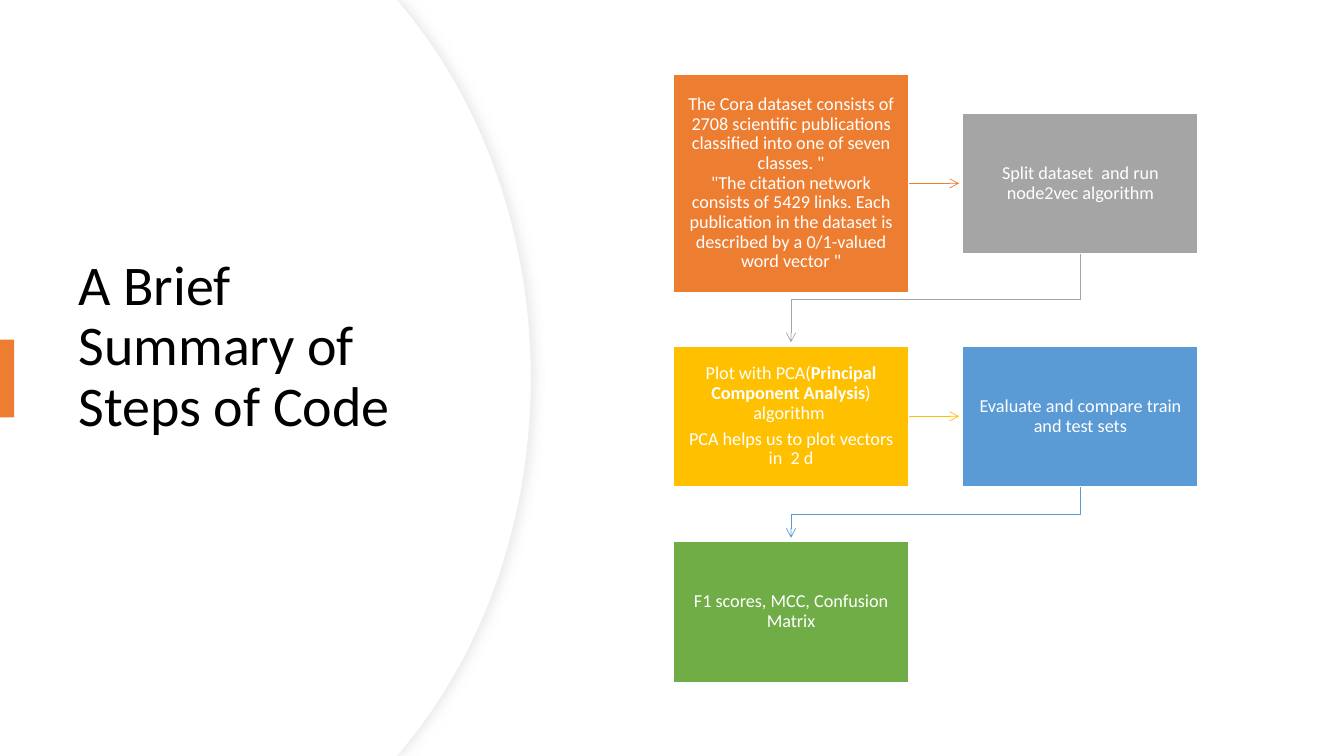
from lxml import etree
from pptx import Presentation
from pptx.dml.color import RGBColor
from pptx.enum.shapes import MSO_CONNECTOR, MSO_SHAPE
from pptx.enum.text import MSO_ANCHOR, MSO_AUTO_SIZE, PP_ALIGN
from pptx.oxml.ns import qn
from pptx.util import Cm, Pt

RECT = MSO_SHAPE.RECTANGLE
STRAIGHT = MSO_CONNECTOR.STRAIGHT
MIDDLE = MSO_ANCHOR.MIDDLE
NO_FIT = MSO_AUTO_SIZE.NONE
LEFT, CENTER = PP_ALIGN.LEFT, PP_ALIGN.CENTER

COLORS = {
    "white": "FFFFFF", "black": "000000", "edge": "EFEFEF", "shade": "D9D9D9",
    "orange": "ED7D31", "gray": "A5A5A5", "gold": "FFC000",
    "blue": "5B9BD5", "green": "70AD47",
}
WIDTH, HEIGHT = 33.87, 19.05
BOX_W, BOX_H = 5.93, 3.55
COLUMNS = (16.97, 24.26)
ROWS = (4.62, 10.49, 15.42)
ARROW_GAP = 0.09

STEPS = [
    (0, 0, 5.49, "orange", [[(
        'The Cora dataset consists of 2708 scientific publications classified '
        'into one of seven classes. "\n"The citation network consists of 5429 links. '
        'Each publication in the dataset is described by a 0/1-valued word vector "',
        False)]]),
    (1, 0, BOX_H, "gray", [[("Split dataset  and run node2vec algorithm", False)]]),
    (0, 1, BOX_H, "gold", [
        [("Plot with PCA(", False), ("Principal Component Analysis", True),
         (") algorithm ", False)],
        [("PCA helps us to plot vectors in  2 d", False)]]),
    (1, 1, BOX_H, "blue", [[("Evaluate and compare train and test sets", False)]]),
    (0, 2, BOX_H, "green", [[("F1 scores, MCC, Confusion Matrix", False)]]),
]


def rgb(name):
    return RGBColor.from_string(COLORS[name])


def write(tf, paragraphs, size, color, align=CENTER, after=0, margins=(0.28, 0.3, 0.28, 0.3)):
    tf.word_wrap = True
    tf.auto_size = NO_FIT
    tf.vertical_anchor = MIDDLE
    tf.margin_left, tf.margin_top, tf.margin_right, tf.margin_bottom = map(Cm, margins)
    for i, runs in enumerate(paragraphs):
        p = tf.add_paragraph() if i else tf.paragraphs[0]
        p.alignment = align
        p.line_spacing = 0.9
        p.space_before = Pt(0)
        p.space_after = Pt(after)
        for text, bold in runs:
            for j, line in enumerate(text.split("\n")):
                if j:
                    p.add_line_break()
                r = p.add_run()
                r.text = line
                r.font.name = "Calibri"
                r.font.size = Pt(size)
                r.font.bold = bold
                r.font.color.rgb = rgb(color)


def bezier(a, b, c, d, steps=24):
    for i in range(steps + 1):
        t = i / steps
        u = 1 - t
        yield tuple(u**3 * w + 3 * u * u * t * x + 3 * u * t * t * y + t**3 * z
                    for w, x, y, z in zip(a, b, c, d))


class Deck:
    def __init__(self):
        self.prs = Presentation()
        self.prs.slide_width, self.prs.slide_height = Cm(WIDTH), Cm(HEIGHT)
        self.s = self.prs.slides.add_slide(self.prs.slide_layouts[5])

    def style(self, sp, fill=None, line=None, weight=0.5):
        sp.shadow.inherit = False
        if fill:
            sp.fill.solid()
            sp.fill.fore_color.rgb = rgb(fill)
        else:
            sp.fill.background()
        if line:
            sp.line.color.rgb = rgb(line)
            sp.line.width = Pt(weight)
        else:
            sp.line.fill.background()

    def outline(self, points, close):
        points = [(Cm(x), Cm(y)) for x, y in points]
        builder = self.s.shapes.build_freeform(*points[0])
        builder.add_line_segments(points[1:], close=close)
        return builder.convert_to_shape()

    def panel(self, right, line=None):
        upper = list(bezier((right - 3.2, 0.2), (right - 1.22, 2.59),
                            (right, 5.89), (right, HEIGHT / 2)))
        lower = [(x, HEIGHT - y) for x, y in reversed(upper[:-1])]
        sp = self.outline([(0, 0), (10.01, 0), *upper, *lower,
                           (10.01, HEIGHT), (0, HEIGHT)], True)
        self.style(sp, "white", line, 0.75)
        return sp

    def cast_shadow(self, sp):
        effects = sp.element.spPr.find(qn("a:effectLst"))
        shadow = etree.SubElement(effects, qn("a:outerShdw"), blurRad=str(Pt(7)),
                                  dist=str(Pt(3)), dir="0", algn="l", rotWithShape="0")
        color = etree.SubElement(shadow, qn("a:srgbClr"), val=COLORS["shade"])
        etree.SubElement(color, qn("a:alpha"), val="50000")

    def title(self, text, left, top, width, height):
        sp = self.s.shapes.title
        sp.left, sp.top, sp.width, sp.height = map(Cm, (left, top, width, height))
        write(sp.text_frame, [[(text, False)]], 40, "black", LEFT,
              margins=(0.25, 0.13, 0.25, 1.65))
        sp.element.getparent().append(sp.element)

    def box(self, left, top, width, height, fill, line=None):
        sp = self.s.shapes.add_shape(RECT, Cm(left), Cm(top), Cm(width), Cm(height))
        self.style(sp, fill, line, 1)
        return sp

    def arrowhead(self, sp):
        etree.SubElement(sp.line._get_or_add_ln(), qn("a:tailEnd"), type="arrow")

    def straight_arrow(self, x1, x2, y, color):
        c = self.s.shapes.add_connector(STRAIGHT, Cm(x1), Cm(y), Cm(x2), Cm(y))
        c.line.color.rgb = rgb(color)
        c.line.width = Pt(0.5)
        self.arrowhead(c)
        etree.SubElement(c.element.spPr, qn("a:effectLst"))

    def elbow_arrow(self, x1, y1, x2, y2, color):
        mid = (y1 + y2) / 2
        sp = self.outline([(x1, y1), (x1, mid), (x2, mid), (x2, y2 - ARROW_GAP)], False)
        self.style(sp, line=color)
        self.arrowhead(sp)


def main():
    deck = Deck()
    deck.cast_shadow(deck.panel(13.39, "edge"))
    deck.panel(13.36)
    deck.title("A Brief Summary of Steps of Code", 1.73, 3.23, 10.01, 12.57)
    deck.box(0, 8.56, 0.36, 1.96, "orange")
    for i, (col, row, height, color, paragraphs) in enumerate(STEPS):
        left, middle = COLUMNS[col], ROWS[row]
        if col:
            deck.elbow_arrow(left + BOX_W / 2, middle + height / 2, COLUMNS[0] + BOX_W / 2,
                             ROWS[row + 1] - BOX_H / 2, color)
        elif i < len(STEPS) - 1:
            deck.straight_arrow(left + BOX_W, COLUMNS[1] - ARROW_GAP, middle, color)
        sp = deck.box(left, middle - height / 2, BOX_W, height, color, "white")
        write(sp.text_frame, paragraphs, 13, "white", after=4.5)
    deck.prs.save("out.pptx")


if __name__ == "__main__":
    main()
